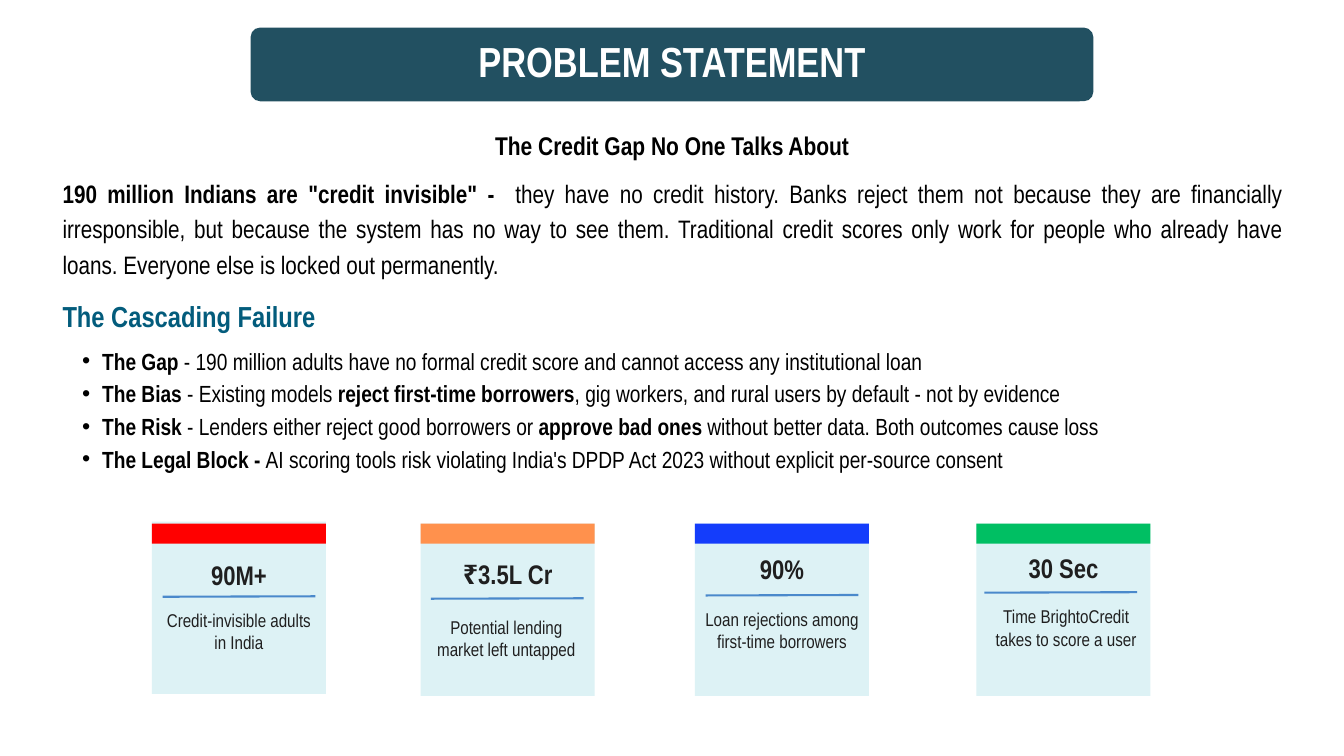
from lxml.etree import SubElement
from pptx import Presentation
from pptx.dml.color import RGBColor
from pptx.enum.shapes import MSO_CONNECTOR, MSO_SHAPE
from pptx.enum.text import MSO_ANCHOR, MSO_AUTO_SIZE, PP_ALIGN
from pptx.oxml.ns import qn
from pptx.util import Pt

FONT = "Arial Narrow"
WHITE = RGBColor(0xFF, 0xFF, 0xFF)
BLACK = RGBColor(0x00, 0x00, 0x00)
INK = RGBColor(0x1F, 0x1F, 0x1F)
BANNER_TEAL = RGBColor(0x22, 0x50, 0x61)
HEADING_BLUE = RGBColor(0x03, 0x5C, 0x7C)
CARD_FILL = RGBColor(0xDD, 0xF2, 0xF5)
RULE_BLUE = RGBColor(0x4A, 0x89, 0xCB)
RED = RGBColor(0xFF, 0x00, 0x00)
ORANGE = RGBColor(0xFF, 0x91, 0x4D)
BLUE = RGBColor(0x14, 0x3D, 0xFB)
GREEN = RGBColor(0x00, 0xBF, 0x63)

prs = Presentation()
prs.slide_width, prs.slide_height = Pt(1440), Pt(810)
slide = prs.slides.add_slide(prs.slide_layouts[1])
shapes = slide.shapes


def add_block(shape_kind, left, top, width, height, color):
    block = shapes.add_shape(shape_kind, Pt(left), Pt(top), Pt(width), Pt(height))
    block.shadow.inherit = False
    block.fill.solid()
    block.fill.fore_color.rgb = color
    block.line.fill.background()
    return block


def write(box, place, paragraphs, size, leading, color, align=PP_ALIGN.CENTER):
    """Place a box and fill it with paragraphs, each a list of (text, bold)."""
    box.left, box.top, box.width, box.height = map(Pt, place)
    frame = box.text_frame
    frame.word_wrap = True
    frame.auto_size = MSO_AUTO_SIZE.NONE
    frame.margin_left = frame.margin_right = 0
    frame.margin_top = frame.margin_bottom = 0
    for i, parts in enumerate(paragraphs):
        paragraph = frame.add_paragraph() if i else frame.paragraphs[0]
        paragraph.alignment = align
        paragraph.line_spacing = Pt(leading)
        paragraph.space_before = Pt(0)
        for text, bold in parts:
            run = paragraph.add_run()
            run.text = text
            run.font.name = FONT
            run.font.size = Pt(size)
            run.font.bold = bold
            run.font.color.rgb = color


# Title on its banner, which goes behind the placeholders
banner = add_block(MSO_SHAPE.ROUNDED_RECTANGLE, 268.5, 29.5, 903, 79, BANNER_TEAL)
banner.adjustments[0] = 0.13
shapes._spTree.insert(2, banner._element)
title = shapes.title
write(title, (72, 0, 1296, 129.6), [[("PROBLEM STATEMENT", True)]], 45, 54, WHITE)
title.text_frame.vertical_anchor = MSO_ANCHOR.MIDDLE

# Subtitle, introduction and section heading
subtitle = shapes.add_textbox(0, 0, 0, 0)
write(subtitle, (501, 139, 438, 38),
      [[("The Credit Gap No One Talks About", True)]], 27.4, 32.9, BLACK)
intro = shapes.add_textbox(0, 0, 0, 0)
write(intro, (67, 185.8, 1306.8, 116.6), [[
    ('190 million Indians are "credit invisible" -  ', True),
    ("they have no credit history. Banks reject them not because they are "
     "financially irresponsible, but because the system has no way to see them. "
     "Traditional credit scores only work for people who already have loans. "
     "Everyone else is locked out permanently.", False),
]], 27, 37.8, BLACK, PP_ALIGN.JUSTIFY)
heading = shapes.add_textbox(0, 0, 0, 0)
write(heading, (67, 313.2, 471, 48),
      [[("The Cascading Failure", True)]], 31, 43.4, HEADING_BLUE, PP_ALIGN.LEFT)

# Bulleted list of failures
failures = slide.placeholders[1]
write(failures, (67, 366.5, 1290, 142.5), [
    [("The Gap", True),
     (" - 190 million adults have no formal credit score and cannot access any "
      "institutional loan", False)],
    [("The Bias", True), (" - Existing models ", False),
     ("reject first-time borrowers", True),
     (", gig workers, and rural users by default - not by evidence", False)],
    [("The Risk", True), (" - Lenders either reject good borrowers or ", False),
     ("approve bad ones ", True),
     ("without better data. Both outcomes cause loss", False)],
    [("The Legal Block - ", True),
     ("AI scoring tools risk violating India's DPDP Act 2023 without explicit "
      "per-source consent", False)],
], 25, 35, BLACK, PP_ALIGN.LEFT)
failures.text_frame.vertical_anchor = MSO_ANCHOR.TOP
for paragraph in failures.text_frame.paragraphs:
    paragraph.level = 1
    props = paragraph._p.get_or_add_pPr()
    props.set("marL", str(Pt(42.5)))
    props.set("indent", str(-Pt(21.5)))
    SubElement(props, qn("a:buFont"), typeface="Arial")
    SubElement(props, qn("a:buChar"), char="•")

# Figure cards: left, top, accent, value, value top, rule inset, rule top,
# caption, caption inset, caption top, caption width
CARD_WIDTH, CARD_HEIGHT, BAND_TOP = 186.5, 184.5, 561
cards = [
    (162.7, 559, RED, "90M+", 599, 11.5, 639.4,
     "Credit-invisible adults in India", 11.5, 652.3, 163.5),
    (450.7, 561, ORANGE, "₹3.5L Cr", 597, 11, 641.5,
     "Potential lending market left untapped", 8.6, 660.3, 166.3),
    (744.5, 561, BLUE, "90%", 592.5, 11.5, 638,
     "Loan rejections among first-time borrowers", 4.3, 651, 178),
    (1046.2, 561, GREEN, "30 Sec", 591, 8.6, 635,
     "Time BrightoCredit takes to score a user", 20, 648.7, 152),
]
for (left, top, accent, value, value_top, rule_inset, rule_top,
     caption, caption_inset, caption_top, caption_width) in cards:
    add_block(MSO_SHAPE.RECTANGLE, left, top, CARD_WIDTH, CARD_HEIGHT, CARD_FILL)
    add_block(MSO_SHAPE.RECTANGLE, left, BAND_TOP, CARD_WIDTH, 21.6, accent)
    figure = shapes.add_textbox(0, 0, 0, 0)
    write(figure, (left, value_top, CARD_WIDTH, 40),
          [[(value, True)]], 28.8, 34.5, INK)
    rule_left = left + rule_inset
    rule = shapes.add_connector(MSO_CONNECTOR.STRAIGHT, Pt(rule_left), Pt(rule_top),
                                Pt(rule_left + 163.7), Pt(rule_top - 0.5))
    rule.line.color.rgb = RULE_BLUE
    rule.line.width = Pt(2.25)
    SubElement(rule._element.spPr, qn("a:effectLst"))
    label = shapes.add_textbox(0, 0, 0, 0)
    write(label, (left + caption_inset, caption_top, caption_width, 53),
          [[(caption, False)]], 19.8, 23.8, INK)

prs.save("out.pptx")
